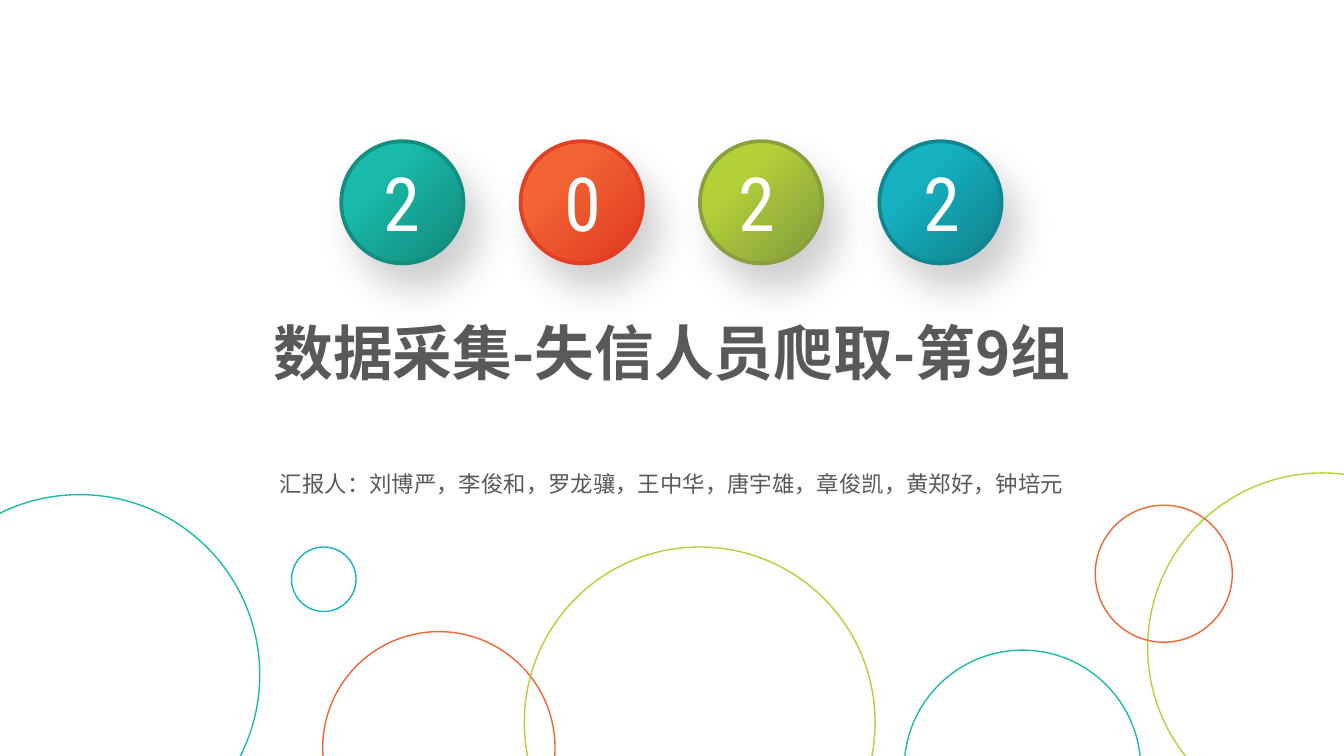
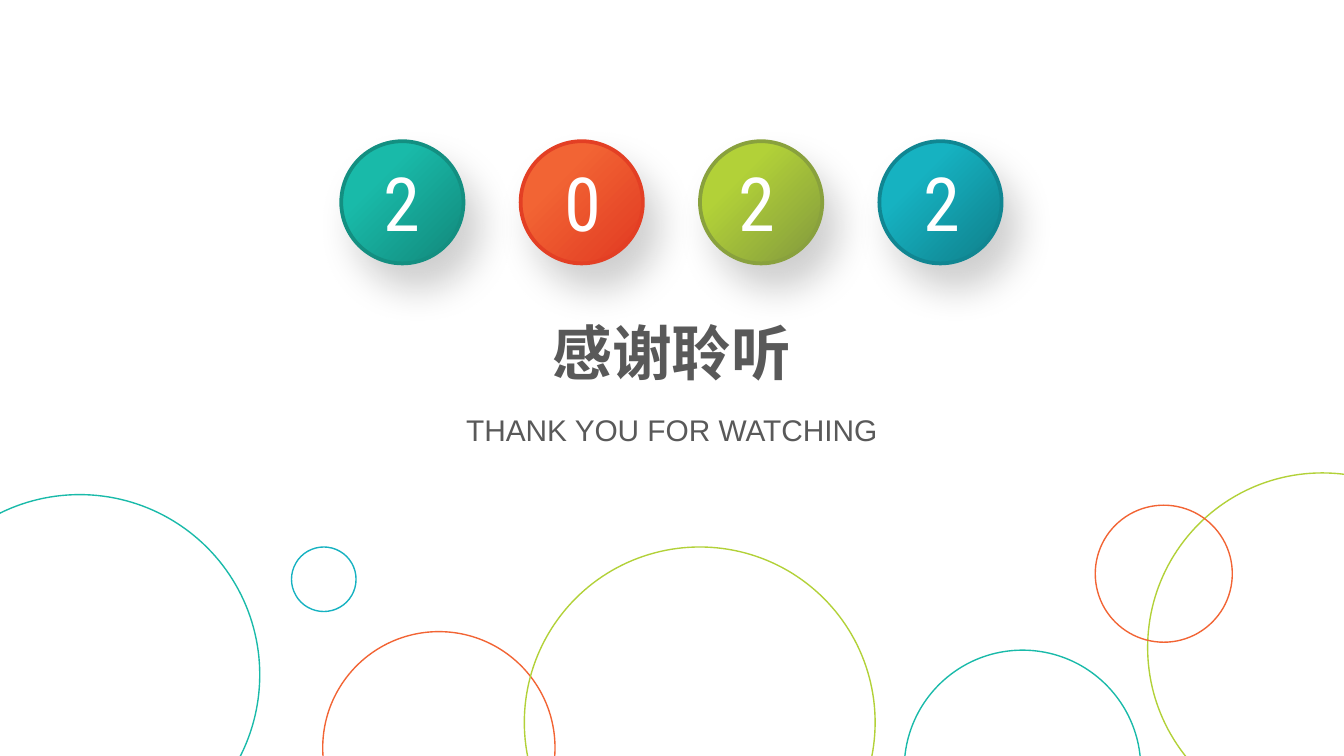
from lxml.etree import SubElement
from pptx import Presentation
from pptx.dml.color import RGBColor as Rgb
from pptx.enum.shapes import MSO_SHAPE as Shape
from pptx.enum.text import MSO_AUTO_SIZE as AutoSize, PP_ALIGN as Align
from pptx.oxml.ns import qn
from pptx.util import Cm, Pt

COLORS = {
    "teal": "19BAA9", "teal_dark": "138F81",
    "orange": "F26434", "orange_dark": "E33F24",
    "lime": "B2D138", "lime_dark": "89A13D",
    "blue": "16B2C1", "blue_dark": "108692",
    "text": "595959", "white": "FFFFFF", "shadow": "0D0D0D",
}
DIGIT = {"name": "Roboto Condensed", "size": Pt(40), "color": "white"}
TITLE = {"name": "Noto Sans CJK SC", "size": Pt(32), "bold": True, "color": "text"}
NAMES = {"name": "Noto Sans CJK SC", "size": Pt(12), "color": "text"}
THANKS = {"name": "Arial", "size": Pt(16), "color": "text"}

WIDTH, HEIGHT = 25.4, 14.29
BADGE_LEFT, BADGE_TOP, BADGE_STEP, BADGE_SIZE = 6.45, 2.67, 3.39, 2.31

# Outline circles: left, top, diameter, colour
RINGS = [
    (-1.9, 9.35, 6.81, "teal"),
    (6.1, 11.94, 4.39, "orange"),
    (5.51, 10.34, 1.22, "blue"),
    (21.69, 8.94, 6.6, "lime"),
    (9.91, 10.34, 6.63, "lime"),
    (20.7, 9.55, 2.59, "orange"),
    (17.09, 12.29, 4.47, "teal"),
]
# Year badges: digit, colour, digit left, digit width
BADGES = [
    ("2", "teal", 6.99, 1.22),
    ("0", "orange", 10.39, 1.27),
    ("2", "lime", 13.69, 1.22),
    ("2", "blue", 17.2, 1.22),
]
# Text lines of each slide: text, top, width, height, format, wrap
PAGES = [
    [("数据采集-失信人员爬取-第9组", 5.84, 16.08, 1.63, TITLE, True),
     ("汇报人：刘博严，李俊和，罗龙骧，王中华，唐宇雄，章俊凯，黄郑好，钟培元",
      8.76, 15.47, 0.76, NAMES, False)],
    [("感谢聆听", 5.84, 5.08, 1.63, TITLE, False),
     ("THANK YOU FOR WATCHING", 7.65, 8.38, 0.94, THANKS, False)],
]


def add_circle(page, left, top, size, line_color, line_width):
    circle = page.shapes.add_shape(Shape.OVAL, Cm(left), Cm(top), Cm(size), Cm(size))
    circle.shadow.inherit = False
    circle.fill.background()
    circle.line.color.rgb = Rgb.from_string(COLORS[line_color])
    circle.line.width = Pt(line_width)
    return circle


def add_text(page, text, left, top, width, height, style, wrap=False):
    box = page.shapes.add_textbox(Cm(left), Cm(top), Cm(width), Cm(height))
    box.text_frame.word_wrap = wrap
    box.text_frame.auto_size = AutoSize.SHAPE_TO_FIT_TEXT
    para = box.text_frame.paragraphs[0]
    para.alignment = Align.CENTER
    span = para.add_run()
    span.text = text
    for key, value in style.items():
        if key == "color":
            span.font.color.rgb = Rgb.from_string(COLORS[value])
        else:
            setattr(span.font, key, value)
    # East Asian glyphs need their own font entry
    SubElement(span.font._element, qn("a:ea"), typeface=style["name"])


deck = Presentation()
deck.slide_width, deck.slide_height = Cm(WIDTH), Cm(HEIGHT)

for lines in PAGES:
    page = deck.slides.add_slide(deck.slide_layouts[6])

    # Background circles
    for left, top, size, color in RINGS:
        add_circle(page, left, top, size, color, 0.75)

    # Year badges with gradient and soft shadow
    for index, (digit, color, digit_left, digit_width) in enumerate(BADGES):
        badge = add_circle(page, BADGE_LEFT + index * BADGE_STEP, BADGE_TOP,
                           BADGE_SIZE, color + "_dark", 2)
        badge.fill.gradient()
        badge.fill.gradient_angle = 315
        stops = zip(badge.fill.gradient_stops, (0.3, 0.9), (color, color + "_dark"))
        for stop, position, shade in stops:
            stop.position = position
            stop.color.rgb = Rgb.from_string(COLORS[shade])
        effects = badge._element.spPr.find(qn("a:effectLst"))
        shadow = SubElement(effects, qn("a:outerShdw"), blurRad=str(Pt(20)),
                            dist=str(Pt(15)), dir=str(59 * 60000),
                            algn="ctr", rotWithShape="0")
        tint = SubElement(shadow, qn("a:srgbClr"), val=COLORS["shadow"])
        SubElement(tint, qn("a:alpha"), val="20000")
        add_text(page, digit, digit_left, 2.84, digit_width, 1.96, DIGIT)

    # Centred title and subtitle
    for text, top, width, height, style, wrap in lines:
        add_text(page, text, (WIDTH - width) / 2, top, width, height, style, wrap)

deck.save("out.pptx")
